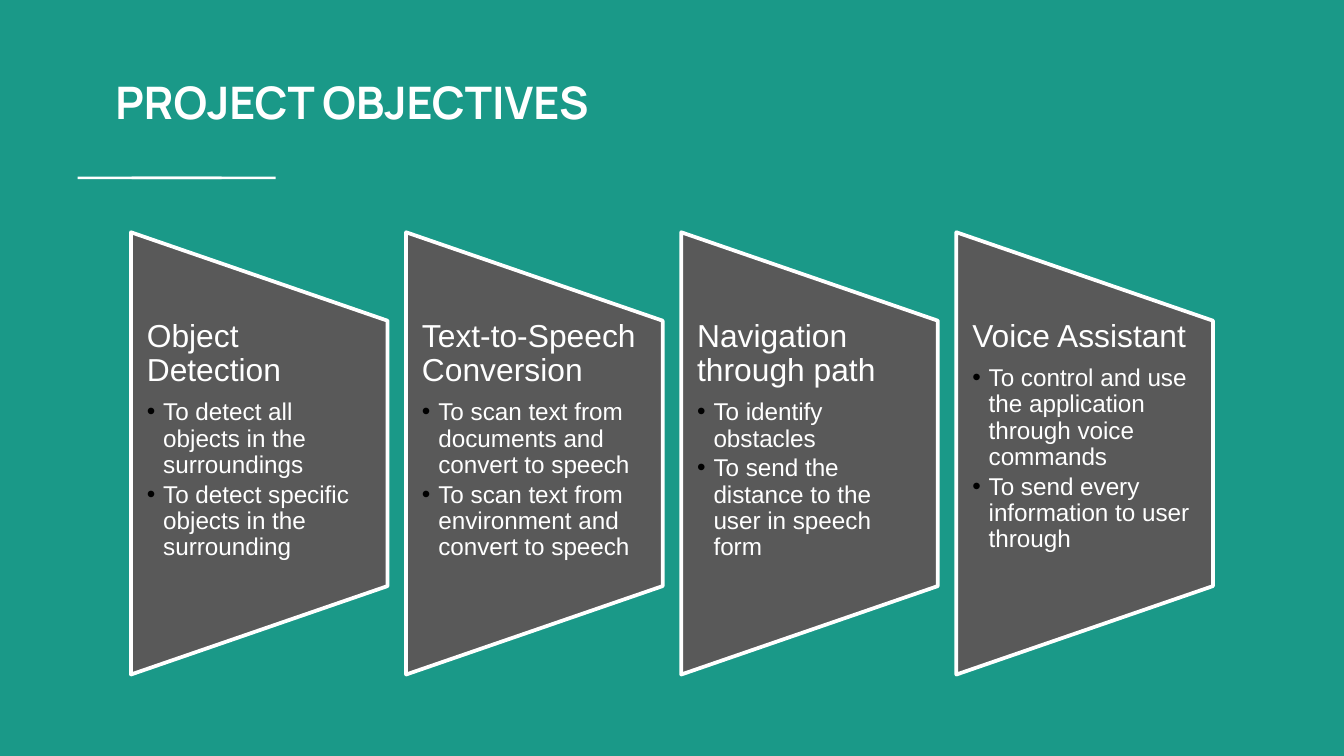
"""Build the project objectives slide with four tapered panels."""
from dataclasses import dataclass

import pptx
import pptx.dml.color
import pptx.enum.shapes
import pptx.enum.text
import pptx.oxml
import pptx.oxml.ns
import pptx.presentation
import pptx.shapes.autoshape
import pptx.shapes.placeholder
import pptx.slide
import pptx.text.text
import pptx.util
from pptx.util import Cm


@dataclass(frozen=True)
class Theme:
    background: str = "1A9988"
    panel: str = "595959"
    light: str = "FFFFFF"
    bullet: str = "000000"
    title_font: str = "Manrope"
    body_font: str = "Arial"
    title_size: int = 24
    heading_size: int = 17
    item_size: int = 13


@dataclass(frozen=True)
class Objective:
    heading: str
    items: tuple[str, ...]


@dataclass(frozen=True)
class Box:
    left: float
    top: float
    width: float
    height: float


THEME = Theme()
OBJECTIVES = (
    Objective("Object Detection", (
        "To detect all objects in the surroundings",
        "To detect specific objects in the surrounding")),
    Objective("Text-to-Speech Conversion", (
        "To scan text from documents and convert to speech",
        "To scan text from environment and convert to speech")),
    Objective("Navigation through path", (
        "To identify obstacles",
        "To send the distance to the user in speech form")),
    Objective("Voice Assistant", (
        "To control and use the application through voice commands",
        "To send every information to user through")),
)
TITLE_BOX = Box(1.93, 1.17, 20.12, 2.31)
RULES = (Box(1.47, 3.34, 2.72, 0.05), Box(2.49, 3.34, 2.72, 0.05))
FIRST_CENTER, PITCH, MIDDLE = 4.9, 5.2, 8.57
PANEL_LENGTH, PANEL_WIDTH = 8.36, 4.85
TEXT_TOP, TEXT_HEIGHT = 6.05, 5.03
HANG = 0.31


def color(value: str) -> pptx.dml.color.RGBColor:
    """Return the colour for a hexadecimal value."""
    return pptx.dml.color.RGBColor.from_string(value)


def place(shape: pptx.shapes.placeholder.SlidePlaceholder, box: Box,
          side: float, end: float) -> None:
    """Move a placeholder and set its text frame to fixed, top-anchored text."""
    shape.left, shape.top = Cm(box.left), Cm(box.top)
    shape.width, shape.height = Cm(box.width), Cm(box.height)
    frame = shape.text_frame
    frame.word_wrap = True
    frame.auto_size = pptx.enum.text.MSO_AUTO_SIZE.NONE
    frame.vertical_anchor = pptx.enum.text.MSO_ANCHOR.TOP
    frame.margin_left = frame.margin_right = Cm(side)
    frame.margin_top = frame.margin_bottom = Cm(end)


def add_run(paragraph: pptx.text.text._Paragraph, text: str, font: str,
            size: int, bold: bool = False) -> None:
    """Add one formatted run to a left-aligned paragraph."""
    paragraph.alignment = pptx.enum.text.PP_ALIGN.LEFT
    run = paragraph.add_run()
    run.text = text
    run.font.name, run.font.size, run.font.bold = font, pptx.util.Pt(size), bold
    run.font.color.rgb = color(THEME.light)


def set_bullet(paragraph: pptx.text.text._Paragraph, indent: float,
               *elements: str) -> None:
    """Give a paragraph a hanging indent and its bullet elements."""
    properties = paragraph._p.get_or_add_pPr()
    properties.set("marL", str(Cm(indent)))
    properties.set("indent", str(-Cm(indent)))
    namespace = pptx.oxml.ns.nsdecls("a")
    for element in elements:
        name, _, rest = element.partition("|")
        properties.append(pptx.oxml.parse_xml(f"<a:{name} {namespace}{rest}"))


def add_shape(slide: pptx.slide.Slide, kind: pptx.enum.shapes.MSO_SHAPE,
              box: Box, fill: str) -> pptx.shapes.autoshape.Shape:
    """Add a filled preset shape without outline or shadow."""
    shape = slide.shapes.add_shape(
        kind, Cm(box.left), Cm(box.top), Cm(box.width), Cm(box.height))
    shape.shadow.inherit = False
    shape.fill.solid()
    shape.fill.fore_color.rgb = color(fill)
    shape.line.fill.background()
    return shape


def add_objective(slide: pptx.slide.Slide, objective: Objective, center: float,
                  body: pptx.shapes.placeholder.SlidePlaceholder) -> None:
    """Draw a panel behind its body placeholder and write the objective."""
    panel = add_shape(
        slide, pptx.enum.shapes.MSO_SHAPE.FLOWCHART_MANUAL_OPERATION,
        Box(center - PANEL_LENGTH / 2, MIDDLE - PANEL_WIDTH / 2,
            PANEL_LENGTH, PANEL_WIDTH), THEME.panel)
    panel.rotation = 270
    panel.line.color.rgb = color(THEME.light)
    panel.line.width = pptx.util.Pt(2)
    body.element.addprevious(panel.element)

    place(body, Box(center - PANEL_WIDTH / 2, TEXT_TOP,
                    PANEL_WIDTH, TEXT_HEIGHT), 0.3, 0)
    heading = body.text_frame.paragraphs[0]
    set_bullet(heading, 0, "buNone|/>")
    heading.line_spacing, heading.space_before = 0.9, pptx.util.Pt(0)
    add_run(heading, objective.heading, THEME.body_font, THEME.heading_size)
    for index, text in enumerate(objective.items):
        item = body.text_frame.add_paragraph()
        item.level = 1
        set_bullet(item, HANG,
                   f'buClr|><a:srgbClr val="{THEME.bullet}"/></a:buClr>',
                   f'buFont| typeface="{THEME.body_font}"/>',
                   'buChar| char="•"/>')
        item.line_spacing = 0.9
        item.space_before = pptx.util.Pt(1.9 if index else 6)
        add_run(item, text, THEME.body_font, THEME.item_size)


def build() -> pptx.presentation.Presentation:
    """Build the presentation."""
    presentation = pptx.Presentation()
    presentation.slide_width, presentation.slide_height = Cm(25.4), Cm(14.29)
    layout = presentation.slide_layouts.get_by_name("Comparison")
    slide = presentation.slides.add_slide(layout)
    slide.background.fill.solid()
    slide.background.fill.fore_color.rgb = color(THEME.background)

    title = slide.shapes.title
    place(title, TITLE_BOX, 0.25, 0.25)
    add_run(title.text_frame.paragraphs[0], "PROJECT OBJECTIVES",
            THEME.title_font, THEME.title_size, bold=True)
    for rule in RULES:
        add_shape(slide, pptx.enum.shapes.MSO_SHAPE.RECTANGLE, rule, THEME.light)

    bodies = [shape for shape in slide.placeholders
              if shape.placeholder_format.idx > 0]
    for index, (objective, body) in enumerate(zip(OBJECTIVES, bodies)):
        add_objective(slide, objective, FIRST_CENTER + index * PITCH, body)
    return presentation


if __name__ == "__main__":
    build().save("out.pptx")
